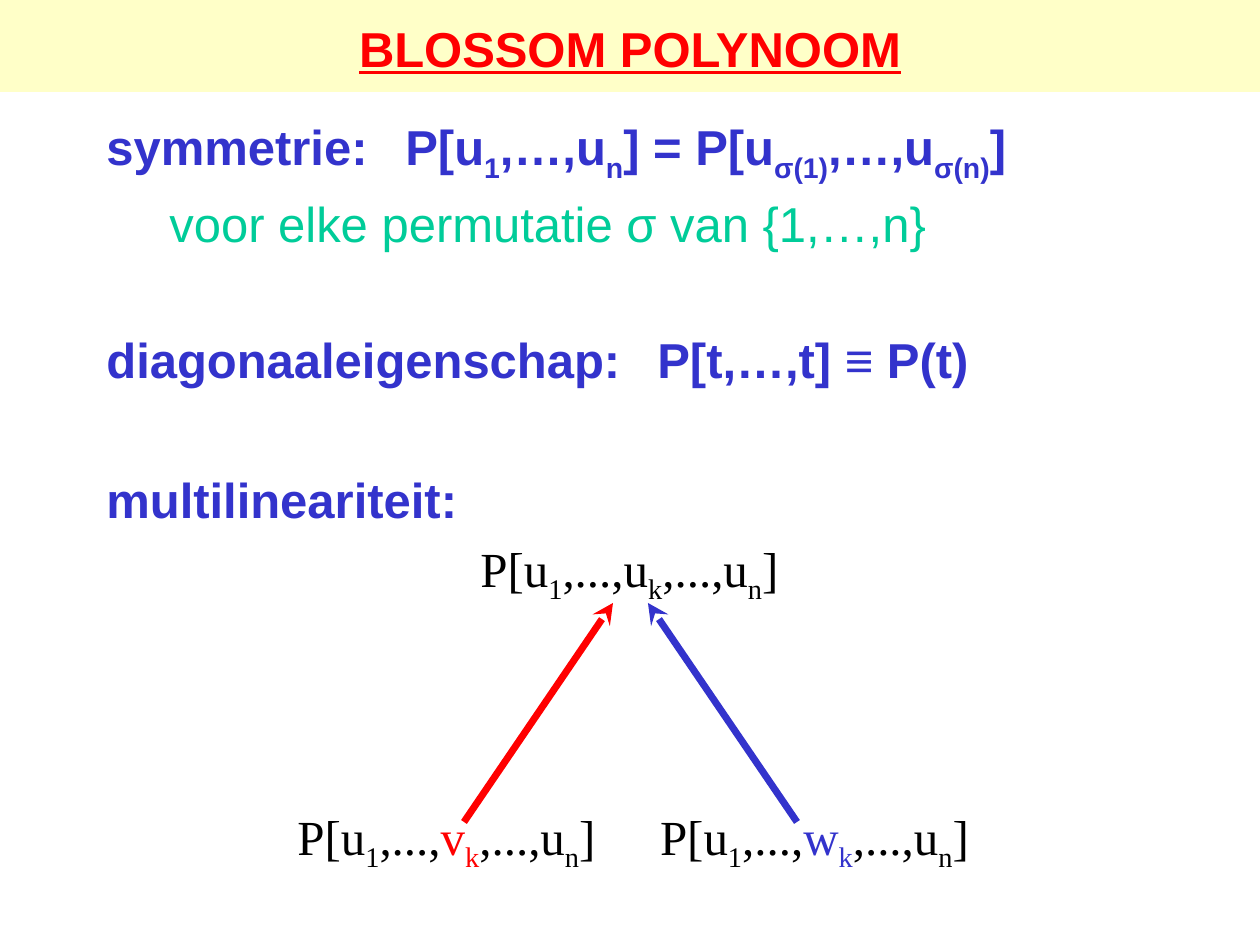
from dataclasses import dataclass

from lxml.etree import SubElement
from pptx import Presentation
from pptx.dml.color import RGBColor
from pptx.enum.shapes import MSO_CONNECTOR, MSO_SHAPE
from pptx.enum.text import MSO_ANCHOR, PP_ALIGN
from pptx.oxml.ns import qn
from pptx.util import Emu, Pt

SCALE = 914400 // 126


@dataclass(frozen=True)
class Theme:
    band: str = "FFFFC8"
    red: str = "FF0000"
    blue: str = "3333CC"
    green: str = "00CC99"
    black: str = "000000"
    sans: str = "Arial"
    serif: str = "Times New Roman"
    size: float = 28
    gap: float = 5.6
    arrow: float = 4


THEME = Theme()


def px(n):
    return Emu(n * SCALE)


def rgb(color):
    return RGBColor.from_string(color)


def add_band(s, x, y, w, h):
    sp = s.shapes.add_shape(MSO_SHAPE.RECTANGLE, px(x), px(y), px(w), px(h))
    sp.shadow.inherit = False
    sp.fill.solid()
    sp.fill.fore_color.rgb = rgb(THEME.band)
    sp.line.fill.background()


def add_box(s, x, y, w, h, anchor=MSO_ANCHOR.TOP, wrap=True):
    tf = s.shapes.add_textbox(px(x), px(y), px(w), px(h)).text_frame
    tf.word_wrap = wrap
    tf.vertical_anchor = anchor
    return tf


def add_run(p, text, color, font=THEME.sans, bold=False, underline=False, sub=False):
    r = p.add_run()
    r.text = text
    r.font.name = font
    r.font.size = Pt(THEME.size)
    r.font.color.rgb = rgb(color)
    r.font.bold = bold
    r.font.underline = underline
    if sub:
        r.font._element.set("baseline", "-25000")


def add_title(s, text):
    p = add_box(s, 0, 0, 1260, 95, MSO_ANCHOR.MIDDLE).paragraphs[0]
    p.alignment = PP_ALIGN.CENTER
    add_run(p, text, THEME.red, bold=True, underline=True)


def add_property(s, y, h, parts, tab=None):
    tf = add_box(s, 94, y, 1166, h)
    tf.margin_top = px(12)
    p = tf.paragraphs[0]
    if tab:
        tabs = SubElement(p._p.get_or_add_pPr(), qn("a:tabLst"))
        SubElement(tabs, qn("a:tab"), pos=str(px(tab)), algn="l")
    for i, text in enumerate(parts):
        add_run(p, text, THEME.blue, bold=True, sub=i % 2 == 1)
    return tf


def add_condition(tf, text):
    p = tf.add_paragraph()
    p.space_before = Pt(THEME.gap)
    p._p.get_or_add_pPr().set("marL", str(px(63)))
    add_run(p, text, THEME.green)


def add_blossom(s, x, y, w, letter, color):
    p = add_box(s, x, y, w, 72, MSO_ANCHOR.MIDDLE, wrap=False).paragraphs[0]
    p.alignment = PP_ALIGN.CENTER
    black = THEME.black
    for text, tint, sub in (
        ("P[u", black, False), ("1", black, True), (",...,", black, False),
        (letter, color, False), ("k", color, True),
        (",...,u", black, False), ("n", black, True), ("]", black, False),
    ):
        add_run(p, text, tint, THEME.serif, sub=sub)


def add_arrow(s, x1, y1, x2, y2, color):
    c = s.shapes.add_connector(MSO_CONNECTOR.STRAIGHT, px(x1), px(y1), px(x2), px(y2))
    c.line.color.rgb = rgb(color)
    c.line.width = Pt(THEME.arrow)
    SubElement(c.line._get_or_add_ln(), qn("a:tailEnd"), type="stealth")
    SubElement(c._element.spPr, qn("a:effectLst"))


def main():
    prs = Presentation()
    prs.slide_width, prs.slide_height = px(1260), px(945)
    s = prs.slides.add_slide(prs.slide_layouts[6])

    add_band(s, 0, 0, 1260, 92)
    add_title(s, "BLOSSOM POLYNOOM")

    symmetry = ("symmetrie:\tP[u", "1", ",…,u", "n", "] = P[u", "σ(1)", ",…,u", "σ(n)", "]")
    tf = add_property(s, 105, 142, symmetry, tab=299)
    add_condition(tf, "voor elke permutatie σ van {1,…,n}")
    add_property(s, 318, 72, ["diagonaaleigenschap:\tP[t,…,t] ≡ P(t)"], tab=551)
    add_property(s, 458, 75, ["multilineariteit:"])

    add_blossom(s, 464, 536, 331, "u", THEME.black)
    add_blossom(s, 281, 804, 331, "v", THEME.red)
    add_blossom(s, 643, 804, 343, "w", THEME.blue)
    add_arrow(s, 464, 822, 613, 603, THEME.red)
    add_arrow(s, 797, 822, 648, 603, THEME.blue)

    prs.save("out.pptx")


if __name__ == "__main__":
    main()
